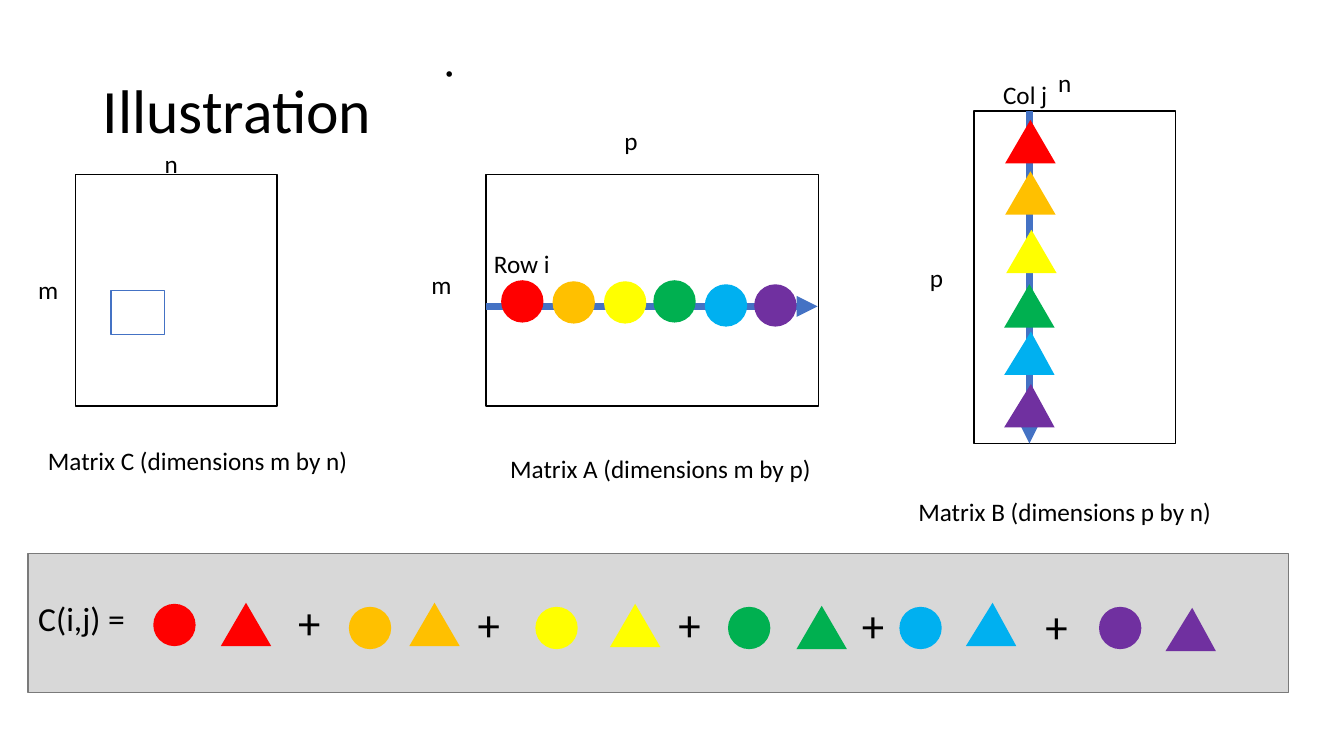
from dataclasses import dataclass

from lxml import etree
from pptx import Presentation
from pptx.dml.color import RGBColor
from pptx.enum.shapes import MSO_CONNECTOR, MSO_SHAPE
from pptx.enum.text import MSO_ANCHOR, MSO_AUTO_SIZE, PP_ALIGN
from pptx.oxml.ns import qn
from pptx.util import Emu, Inches, Pt

RECTANGLE, CIRCLE, TRIANGLE = MSO_SHAPE.RECTANGLE, MSO_SHAPE.OVAL, MSO_SHAPE.ISOSCELES_TRIANGLE
STRAIGHT = MSO_CONNECTOR.STRAIGHT
LEFT, CENTER = PP_ALIGN.LEFT, PP_ALIGN.CENTER
MIDDLE = MSO_ANCHOR.MIDDLE
NO_AUTOFIT = MSO_AUTO_SIZE.NONE

BLACK = RGBColor(0x00, 0x00, 0x00)
WHITE = RGBColor(0xFF, 0xFF, 0xFF)
BLUE = RGBColor(0x44, 0x72, 0xC4)
GRAY = RGBColor(0xA5, 0xA5, 0xA5)
DARK_GRAY = RGBColor(0x7A, 0x7A, 0x7A)
RED = RGBColor(0xFF, 0x00, 0x00)
ORANGE = RGBColor(0xFF, 0xC0, 0x00)
YELLOW = RGBColor(0xFF, 0xFF, 0x00)
GREEN = RGBColor(0x00, 0xB0, 0x50)
SKY = RGBColor(0x00, 0xB0, 0xF0)
PURPLE = RGBColor(0x70, 0x30, 0xA0)

FONT = "Calibri"
CELL = Inches(0.1)  # side of one square cell of the layout grid
CIRCLE_SIZE = (4.2, 4.2)
TRIANGLE_SIZE = (5, 4.3)
Point = tuple[float, float]


@dataclass(frozen=True)
class Panel:
    column: float
    row: float
    width: float
    height: float
    fill: RGBColor = WHITE
    line: RGBColor = BLACK


@dataclass(frozen=True)
class Label:
    text: str
    column: float
    row: float
    width: float
    height: float = 4
    size: int = 18
    align: PP_ALIGN = CENTER


@dataclass(frozen=True)
class Term:
    """One product: its circle in A, its triangle in B, and both in the sum."""
    color: RGBColor
    in_a: Point
    in_b: Point
    sum_circle: Point
    sum_triangle: Point
    apex: float = 0.5


SUM_BAR = Panel(2.8, 54.9, 125, 13.8, GRAY, DARK_GRAY)
MATRIX_A = Panel(48.2, 17.3, 33, 23)
MATRIX_B = Panel(96.6, 11, 20, 33)
MATRIX_C = Panel(7.5, 17.3, 20, 23)
CELL_IJ = Panel(11, 28.8, 5.3, 4.4, line=BLUE)

ROW_I = ((48.2, 30.4), (81.1, 30.4))
COLUMN_J = ((102.1, 11), (102.1, 44))

TERMS = [
    Term(RED, (49.7, 27.8), (99.7, 11.9), (15.2, 59.9), (21.9, 59.8)),
    Term(ORANGE, (54.8, 27.9), (99.7, 17), (34.6, 60.2), (40.6, 59.8)),
    Term(YELLOW, (59.9, 27.9), (99.8, 22.8), (53.1, 60.2), (60.5, 59.9)),
    Term(GREEN, (64.8, 27.8), (99.6, 28.2), (72.2, 60.2), (79, 60.1)),
    Term(SKY, (69.9, 28.2), (99.6, 32.9), (89.2, 60.2), (95.8, 59.8), 0.53),
    Term(PURPLE, (74.8, 28.2), (99.6, 38.1), (109, 60.2), (115.6, 60.3), 0.53),
]
PLUS_SIGNS = [(28.6, 58.5), (46.4, 58.7), (66.3, 58.7), (84.5, 58.8), (102.7, 58.9)]

LABELS = [
    Label("Matrix A (dimensions m by p)", 46.9, 44.5, 37.2),
    Label("m", 41.8, 26.2, 3.1),
    Label("p", 60.8, 11.9, 3.6),
    Label("Row i", 48, 24.1, 8.2, align=LEFT),
    Label("Matrix B (dimensions p by n)", 87, 48.7, 37.2),
    Label("p", 91.1, 25.5, 3.6),
    Label("n", 103.8, 6.2, 3.6),
    Label("Col j", 98.5, 7.4, 7.2, align=LEFT),
    Label("Matrix C (dimensions m by n)", 2.8, 43.7, 33.6),
    Label("m", 2.8, 26.7, 3.1),
    Label("n", 15.2, 14.2, 3.6),
    Label("C(i,j) =", 2.8, 58.8, 12.2, 5, 24, LEFT),
    Label("·", 43.1, 4.1, 3.8, 5.7, 28, LEFT),
    *(Label("+", column, row, 5.6, 6.4, 32, LEFT) for column, row in PLUS_SIGNS),
]


def cells(*counts: float) -> list[Emu]:
    return [Emu(round(count * CELL)) for count in counts]


def add_span(para, text: str, size: int) -> None:
    span = para.add_run()
    span.text = text
    span.font.name = FONT
    span.font.size = Pt(size)
    span.font.color.rgb = BLACK


def add_title(page, text: str) -> None:
    title = page.shapes.title
    title.left, title.top, title.width, title.height = cells(9.2, 4, 115, 14.5)
    frame = title.text_frame
    frame.auto_size = NO_AUTOFIT
    frame.vertical_anchor = MIDDLE
    para = frame.paragraphs[0]
    para.alignment = LEFT
    para.line_spacing = 0.9
    add_span(para, text, 44)


def add_label(page, label: Label) -> None:
    box = page.shapes.add_textbox(*cells(label.column, label.row, label.width, label.height))
    box.text_frame.word_wrap = True
    para = box.text_frame.paragraphs[0]
    para.alignment = label.align
    add_span(para, label.text, label.size)


def add_panel(page, panel: Panel):
    shape = page.shapes.add_shape(
        RECTANGLE, *cells(panel.column, panel.row, panel.width, panel.height))
    shape.shadow.inherit = False
    shape.fill.solid()
    shape.fill.fore_color.rgb = panel.fill
    shape.line.color.rgb = panel.line
    shape.line.width = Pt(1)
    return shape


def set_opacity(shape, percent: int) -> None:
    color = shape.fill._xPr.find(qn("a:solidFill"))[0]
    etree.SubElement(color, qn("a:alpha"), val=str(percent * 1000))


def add_arrow(page, start: Point, end: Point) -> None:
    arrow = page.shapes.add_connector(STRAIGHT, *cells(*start, *end))
    arrow.line.color.rgb = BLUE
    arrow.line.width = Pt(5)
    etree.SubElement(arrow.line._get_or_add_ln(), qn("a:tailEnd"), type="triangle")
    etree.SubElement(arrow._element.spPr, qn("a:effectLst"))


def add_mark(page, kind: MSO_SHAPE, place: Point, term: Term) -> None:
    """Draw a circle or triangle in the colour of its term."""
    size = CIRCLE_SIZE if kind == CIRCLE else TRIANGLE_SIZE
    mark = page.shapes.add_shape(kind, *cells(*place, *size))
    mark.shadow.inherit = False
    mark.fill.solid()
    mark.fill.fore_color.rgb = term.color
    mark.line.fill.background()
    if kind == TRIANGLE:
        mark.adjustments[0] = term.apex


def main() -> None:
    deck = Presentation()
    deck.slide_width, deck.slide_height = Inches(13.33), Inches(7.5)
    page = deck.slides.add_slide(deck.slide_layouts[5])
    add_title(page, "Illustration")

    set_opacity(add_panel(page, SUM_BAR), 43)
    for panel in (MATRIX_A, MATRIX_B, MATRIX_C, CELL_IJ):
        add_panel(page, panel)
    for start, end in (ROW_I, COLUMN_J):
        add_arrow(page, start, end)
    for term in TERMS:
        add_mark(page, CIRCLE, term.in_a, term)
        add_mark(page, TRIANGLE, term.in_b, term)
        add_mark(page, CIRCLE, term.sum_circle, term)
        add_mark(page, TRIANGLE, term.sum_triangle, term)
    for label in LABELS:
        add_label(page, label)
    deck.save("out.pptx")


if __name__ == "__main__":
    main()
